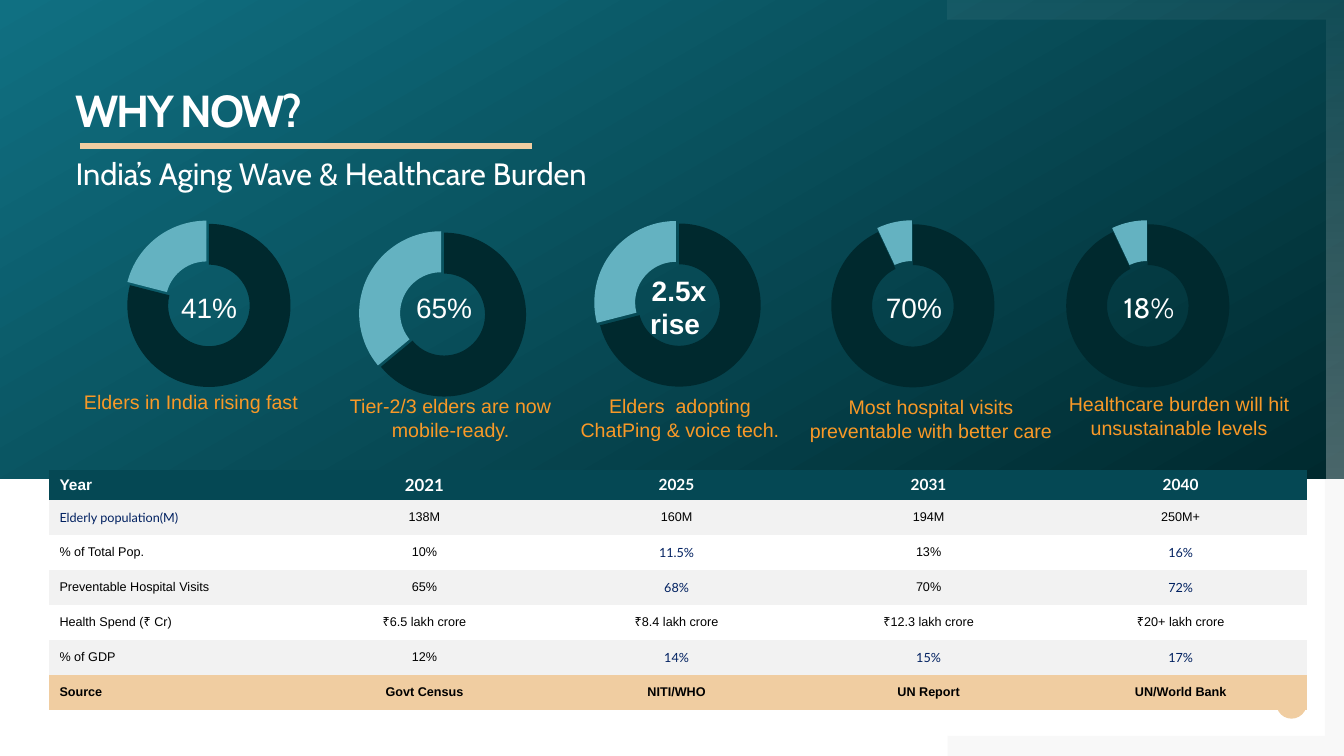
from lxml.etree import SubElement
from pptx import Presentation
from pptx.chart.data import CategoryChartData
from pptx.dml.color import RGBColor
from pptx.enum.chart import XL_CHART_TYPE as ChartType
from pptx.enum.shapes import MSO_CONNECTOR as Connector, MSO_SHAPE as Shape
from pptx.enum.text import MSO_ANCHOR as Anchor, PP_ALIGN as Align
from pptx.oxml.ns import qn
from pptx.util import Inches, Pt

WHITE, BLACK, NAVY = "FFFFFF", "000000", "002060"
DARK, TEAL, AQUA = "00292E", "107082", "64B2C1"
SAND, ORANGE, HEADER, BAND = "F0CDA1", "F99927", "054854", "F2F2F2"
WIDTH, HEIGHT, HERO = 13.33, 7.5, 4.75
PITCH = 2.33  # distance between neighbouring doughnuts

color = RGBColor.from_string


def write(frame, text, size=14, font="Arial", fill=BLACK, bold=False,
          align=Align.LEFT, anchor=Anchor.TOP, inset=None):
    frame.word_wrap = True
    frame.vertical_anchor = anchor
    if inset is not None:
        frame.margin_left = frame.margin_right = Inches(inset)
        frame.margin_top = frame.margin_bottom = Inches(inset)
    para = frame.paragraphs[0]
    para.alignment = align
    span = para.add_run()
    span.text = text
    span.font.size, span.font.name, span.font.bold = Pt(size), font, bold
    span.font.color.rgb = color(fill)
    return span


def paint(shape, *stops, angle=0):
    """Fill with one (colour, opacity) pair, or a gradient between two."""
    shape.shadow.inherit = False
    shape.line.fill.background()
    if len(stops) == 1:
        shape.fill.solid()
        targets = [shape.fill.fore_color]
    else:
        shape.fill.gradient()
        shape.fill.gradient_angle = angle
        targets = [stop.color for stop in shape.fill.gradient_stops]
    for target, (tint, _) in zip(targets, stops):
        target.rgb = color(tint)
    tints = list(shape._element.spPr.iter(qn("a:srgbClr")))
    for node, (_, opacity) in zip(tints, stops):
        if opacity < 100:
            SubElement(node, qn("a:alpha"), val=str(opacity * 1000))


deck = Presentation()
deck.slide_width, deck.slide_height = Inches(WIDTH), Inches(HEIGHT)
page = deck.slides.add_slide(deck.slide_layouts[2])
shapes = page.shapes
title, subtitle = page.placeholders

# Backdrop
hero = shapes.add_shape(Shape.RECTANGLE, 0, 0, Inches(WIDTH), Inches(HERO))
paint(hero, (DARK, 100), (TEAL, 100), angle=120)

INNER_X, ARM_X, THICK = 13.14, 9.4, 0.2
corners = [
    ([(ARM_X, 0), (WIDTH, 0), (WIDTH, HERO), (INNER_X, HERO),
      (INNER_X, THICK), (ARM_X, THICK)], [(WHITE, 5), (WHITE, 30)]),
    ([(INNER_X, HERO), (WIDTH, HERO), (WIDTH, HEIGHT), (ARM_X, HEIGHT),
      (ARM_X, HEIGHT - THICK), (INNER_X, HEIGHT - THICK)], [("808080", 5)]),
]
for corner, stops in corners:
    points = [(Inches(x), Inches(y)) for x, y in corner]
    outline = shapes.build_freeform(*points[0])
    outline.add_line_segments(points[1:], close=True)
    paint(outline.convert_to_shape(), *stops, angle=270)

dot = shapes.add_shape(Shape.OVAL, Inches(12.66), Inches(6.83), Inches(0.3), Inches(0.3))
paint(dot, (SAND, 100))

# Headings
for box, top, text, size, bold in [
    (title, 0.88, "WHY NOW?", 32, True),
    (subtitle, 1.53, "India’s Aging Wave & Healthcare Burden", 22, False),
]:
    shapes._spTree.append(box._element)  # bring in front of the backdrop
    box.left, box.top, box.width, box.height = map(Inches, (0.75, top, 8.27, 0.4))
    span = write(box.text_frame, text, size, "Cabin", WHITE, bold, inset=0)
    if box is title:
        span.font._element.set("spc", "-150")
        box.text_frame.paragraphs[0].line_spacing = 0.9
    else:
        box.text_frame.paragraphs[0].space_before = Pt(0)

rule = shapes.add_connector(Connector.STRAIGHT, Inches(0.79), Inches(1.45),
                            Inches(5.28), Inches(1.45))
rule.line.color.rgb = color(SAND)
rule.line.width = Pt(4.32)
SubElement(rule._element.spPr, qn("a:effectLst"))

# Doughnuts: share, explosion, top, label, label font, caption, caption box
doughnuts = [
    (79, 5, 1.83, "41%", "Arial", "Elders in India rising fast", (0.2, 3.82, 3.39)),
    (64, 4, 1.93, "65%", "Arial", "Tier-2/3 elders are now mobile-ready.", (3.14, 3.86, 2.66)),
    (71, 5, 1.83, "2.5x rise ", "Arial", "Elders  adopting ChatPing & voice tech.",
     (5.61, 3.86, 2.27)),
    (93, 5, 1.83, "70%", "Arial", "Most hospital visits preventable with better care",
     (7.82, 3.87, 2.83)),
    (93, 5, 1.83, "18%", "Cabin", "Healthcare burden will hit unsustainable levels",
     (10.35, 3.84, 2.69)),
]
for index, (share, explosion, top, *_) in enumerate(doughnuts):
    data = CategoryChartData()
    data.categories = ["1", "2"]
    data.add_series("Series 1", [share, 100 - share])
    chart = shapes.add_chart(ChartType.DOUGHNUT, Inches(1.09 + PITCH * index), Inches(top),
                             Inches(1.94), Inches(2.37), data).chart
    chart.has_legend = chart.has_title = False
    chart.font.size, chart.font.name = Pt(10), "Arial"
    chart.font.color.rgb = color(BLACK)
    series = chart.plots[0].series[0]
    for number, tint in enumerate([DARK, AQUA]):
        slice_format = series.points[number].format
        slice_format.fill.solid()
        slice_format.fill.fore_color.rgb = color(tint)
        slice_format.line.fill.background()

    root = chart._chartSpace
    first_point = series._element.find(qn("c:dPt"))
    first_point.addprevious(SubElement(root, qn("c:explosion"), val=str(explosion)))
    next(root.iter(qn("c:holeSize"))).set("val", "60")
    area = SubElement(root, qn("c:spPr"))
    SubElement(area, qn("a:noFill"))
    SubElement(SubElement(area, qn("a:ln")), qn("a:noFill"))
    root.find(qn("c:txPr")).addprevious(area)
    plot_area = next(root.iter(qn("c:plotArea")))
    for old in plot_area.findall(qn("c:layout")):
        plot_area.remove(old)
    layout = SubElement(plot_area, qn("c:layout"))
    plot_area.insert(0, layout)
    manual = SubElement(layout, qn("c:manualLayout"))
    for tag, value in [("layoutTarget", "inner"), ("xMode", "edge"), ("yMode", "edge"),
                       ("x", "0.07"), ("y", "0.15"), ("w", "0.86"), ("h", "0.7")]:
        SubElement(manual, qn("c:" + tag), val=value)

for index, (_, _, _, label, font, caption, (left, top, width)) in enumerate(doughnuts):
    center = shapes.add_shape(Shape.OVAL, Inches(1.66 + PITCH * index), Inches(2.63),
                              Inches(0.83), Inches(0.83))
    center.shadow.inherit = False
    center.fill.background()
    center.line.fill.background()
    write(center.text_frame, label, 20, font, WHITE, bold="rise" in label,
          align=Align.CENTER, anchor=Anchor.MIDDLE, inset=0)
    box = shapes.add_textbox(Inches(left), Inches(top), Inches(width), Inches(0.57))
    write(box.text_frame, caption, fill=ORANGE, align=Align.CENTER)

# Table
rows = [
    ["Year", "2021", "2025", "2031", "2040"],
    ["Elderly population(M)", "138M", "160M", "194M", "250M+"],
    ["% of Total Pop.", "10%", "11.5%", "13%", "16%"],
    ["Preventable Hospital Visits", "65%", "68%", "70%", "72%"],
    ["Health Spend (₹ Cr)", "₹6.5 lakh crore", "₹8.4 lakh crore", "₹12.3 lakh crore",
     "₹20+ lakh crore"],
    ["% of GDP", "12%", "14%", "15%", "17%"],
    ["Source", "Govt Census", "NITI/WHO", "UN Report", "UN/World Bank"],
]
row_fills = [HEADER, BAND, WHITE, BAND, WHITE, BAND, SAND]
lato_columns = {0: {1, 2, 3, 4}, 1: {0}, 2: {2, 4}, 3: {2, 4}, 5: {2, 3, 4}}
TABLE_HEIGHT, HEAD_HEIGHT = 2.38, 0.3
body_height = (TABLE_HEIGHT - HEAD_HEIGHT) / (len(rows) - 1)
table = shapes.add_table(len(rows), 5, Inches(0.49), Inches(4.66),
                         Inches(12.46), Inches(TABLE_HEIGHT)).table
table.first_row = table.horz_banding = False
NO_STYLE = "{2D5ABB26-0587-4C30-8999-92F81FD0307C}"
next(table._tbl.iter(qn("a:tableStyleId"))).text = NO_STYLE
for number, column in enumerate(table.columns):
    column.width = Inches(2.5 if number else 2.47)
for r, texts in enumerate(rows):
    table.rows[r].height = Inches(body_height if r else HEAD_HEIGHT)
    for c, text in enumerate(texts):
        cell = table.cell(r, c)
        cell.fill.solid()
        cell.fill.fore_color.rgb = color(row_fills[r])
        cell.vertical_anchor = Anchor.MIDDLE
        lato = c in lato_columns.get(r, ())
        size = 9 if r else 12 if text == "2021" else 11
        ink = WHITE if r == 0 else NAVY if lato else BLACK
        span = cell.text_frame.paragraphs[0].add_run()
        span.text = text
        span.font.size, span.font.name = Pt(size), "Lato" if lato else "Arial"
        span.font.bold = r in (0, len(rows) - 1)
        span.font.color.rgb = color(ink)
        cell.text_frame.paragraphs[0].alignment = Align.CENTER if c else Align.LEFT

deck.save("out.pptx")
